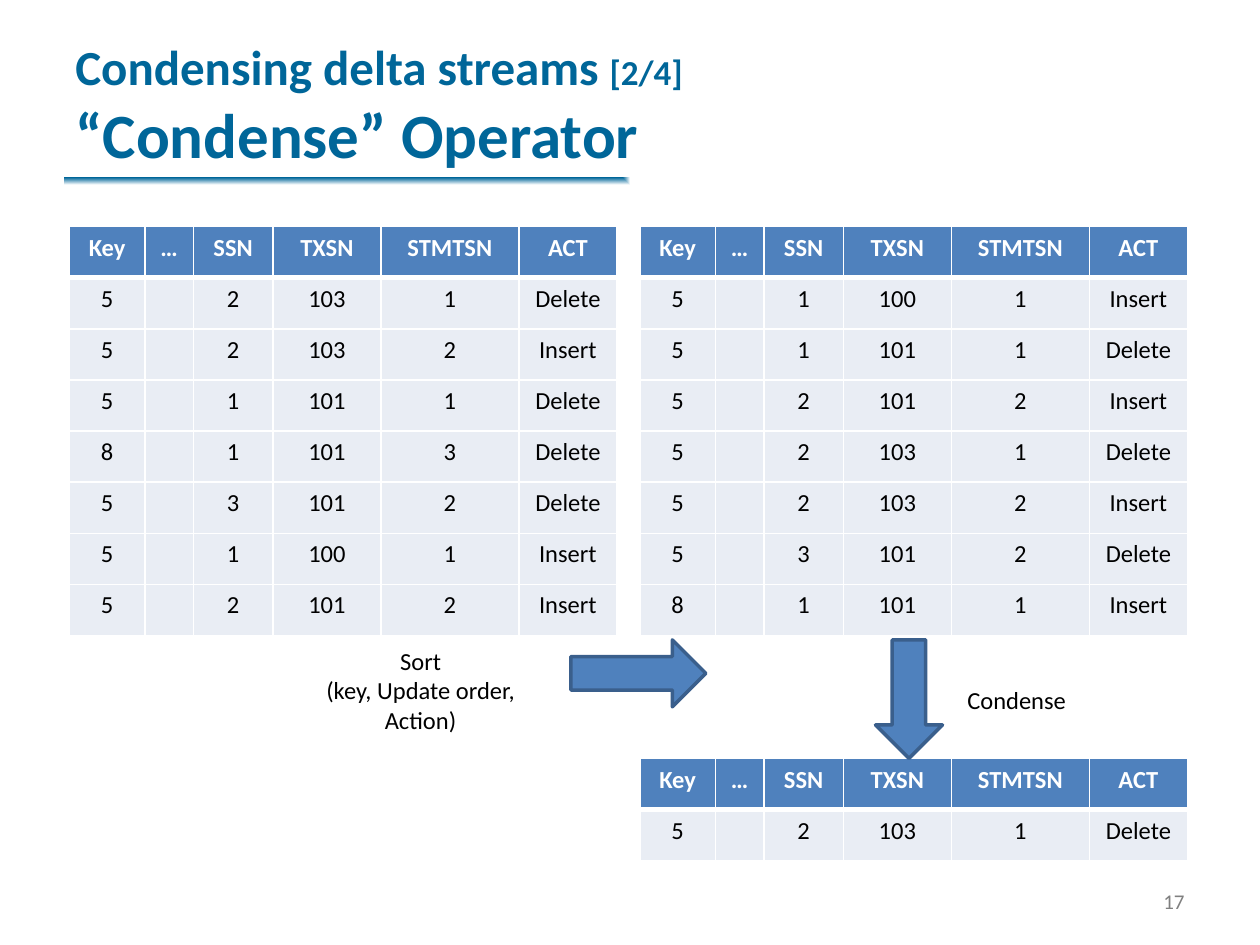
from dataclasses import dataclass

from lxml.etree import SubElement
from pptx import Presentation
from pptx.dml.color import RGBColor
from pptx.enum.shapes import MSO_SHAPE as Shape
from pptx.enum.text import MSO_ANCHOR as Anchor, PP_ALIGN as Align
from pptx.oxml import parse_xml
from pptx.oxml.ns import nsdecls, qn
from pptx.util import Cm, Pt


@dataclass(frozen=True)
class Theme:
    font: str = "Calibri"
    title: str = "006699"
    accent: str = "4F81BD"
    outline: str = "3A5F8C"
    band: str = "E9EDF4"
    white: str = "FFFFFF"
    black: str = "000000"
    grey: str = "808080"
    kicker_size: int = 28
    counter_size: int = 20
    title_size: int = 36
    body_size: int = 14
    number_size: int = 12


@dataclass(frozen=True)
class Box:
    left: float
    top: float
    width: float
    height: float

    def lengths(self) -> list:
        return [Cm(v) for v in (self.left, self.top, self.width, self.height)]


@dataclass(frozen=True)
class DeltaTable:
    left: float
    top: float
    rows: list


@dataclass(frozen=True)
class Label:
    box: Box
    lines: list
    size: int
    color: str
    align: Align = Align.LEFT
    anchor: Anchor = Anchor.TOP
    wrap: bool = True


@dataclass(frozen=True)
class Arrow:
    kind: Shape
    box: Box


T = Theme()

# Table contents: the second column is always elided
HEADER = ["Key", "…", "SSN", "TXSN", "STMTSN", "ACT"]
COL_WIDTHS = [1.52, 0.98, 1.6, 2.18, 2.78, 1.98]
ROW_HEIGHT = 1.03
LEFT_COL, RIGHT_COL, TABLE_TOP, FLOW_TOP = 1.4, 12.9, 4.57, 12.9

TABLES = [
    DeltaTable(LEFT_COL, TABLE_TOP, [
        (5, 2, 103, 1, "Delete"), (5, 2, 103, 2, "Insert"),
        (5, 1, 101, 1, "Delete"), (8, 1, 101, 3, "Delete"),
        (5, 3, 101, 2, "Delete"), (5, 1, 100, 1, "Insert"),
        (5, 2, 101, 2, "Insert")]),
    DeltaTable(RIGHT_COL, TABLE_TOP, [
        (5, 1, 100, 1, "Insert"), (5, 1, 101, 1, "Delete"),
        (5, 2, 101, 2, "Insert"), (5, 2, 103, 1, "Delete"),
        (5, 2, 103, 2, "Insert"), (5, 3, 101, 2, "Delete"),
        (8, 1, 101, 1, "Insert")]),
    DeltaTable(RIGHT_COL, 15.29, [(5, 2, 103, 1, "Delete")]),
]

ARROWS = [
    Arrow(Shape.DOWN_ARROW, Box(17.65, FLOW_TOP, 1.35, 2.39)),
    Arrow(Shape.RIGHT_ARROW, Box(11.51, FLOW_TOP, 2.72, 1.35)),
]

LABELS = [
    Label(Box(19.25, 13.69, 2.57, 0.86), ["Condense"], T.body_size, T.black, wrap=False),
    Label(Box(5.56, FLOW_TOP, 5.84, 2.06), ["Sort", "(key, Update order, Action)"],
          T.body_size, T.black, Align.CENTER),
    Label(Box(22.81, 17.65, 1.32, 1.02), ["17"], T.number_size, T.grey,
          Align.RIGHT, Anchor.MIDDLE),
]


def add_run(p, text: str, size: int, color: str, bold: bool = False) -> None:
    r = p.add_run()
    r.text = text
    for name, value in {"name": T.font, "size": Pt(size), "bold": bold}.items():
        setattr(r.font, name, value)
    r.font.color.rgb = RGBColor.from_string(color)


def set_borders(cell, widths: dict) -> None:
    tc_pr = cell._tc.get_or_add_tcPr()
    for side, width in widths.items():
        ln = SubElement(tc_pr, qn(f"a:ln{side}"), w=str(Pt(width)))
        fill = SubElement(ln, qn("a:solidFill"))
        SubElement(fill, qn("a:srgbClr"), val=T.white)


def add_delta_table(slide, spec: DeltaTable) -> None:
    rows = [HEADER] + [(key, "", *rest) for key, *rest in spec.rows]
    box = Box(spec.left, spec.top, sum(COL_WIDTHS), ROW_HEIGHT * len(rows))
    table = slide.shapes.add_table(len(rows), len(HEADER), *box.lengths()).table
    table.horz_banding = False
    for col, width in zip(table.columns, COL_WIDTHS):
        col.width = Cm(width)
    for i, values in enumerate(rows):
        table.rows[i].height = Cm(ROW_HEIGHT)
        head = i == 0
        for j, value in enumerate(values):
            cell = table.cell(i, j)
            set_borders(cell, {"L": 1, "R": 1, "T": 1, "B": 3 if head else 1})
            cell.fill.solid()
            cell.fill.fore_color.rgb = RGBColor.from_string(T.accent if head else T.band)
            p = cell.text_frame.paragraphs[0]
            p.alignment = Align.CENTER
            add_run(p, str(value), T.body_size, T.white if head else T.black, head)


def add_label(slide, spec: Label) -> None:
    tf = slide.shapes.add_textbox(*spec.box.lengths()).text_frame
    tf.word_wrap = spec.wrap
    tf.vertical_anchor = spec.anchor
    for i, line in enumerate(spec.lines):
        p = tf.add_paragraph() if i else tf.paragraphs[0]
        p.alignment = spec.align
        add_run(p, line, spec.size, spec.color)


def add_arrow(slide, spec: Arrow) -> None:
    s = slide.shapes.add_shape(spec.kind, *spec.box.lengths())
    s.shadow.inherit = False
    s.fill.solid()
    s.fill.fore_color.rgb = RGBColor.from_string(T.accent)
    s.line.color.rgb = RGBColor.from_string(T.outline)
    s.line.width = Pt(2)


def add_title(slide) -> None:
    # Fading rule below the title
    s = slide.shapes.add_shape(Shape.RECTANGLE, *Box(1.3, 3.58, 22.81, 0.3).lengths())
    s.shadow.inherit = False
    s.line.fill.background()
    s._element.spPr.find(qn("a:prstGeom")).addnext(parse_xml(
        f'<a:gradFill {nsdecls("a")}><a:gsLst>'
        f'<a:gs pos="0"><a:srgbClr val="{T.title}"/></a:gs>'
        f'<a:gs pos="100000"><a:srgbClr val="{T.white}"/></a:gs></a:gsLst>'
        '<a:path path="rect"><a:fillToRect r="100000" b="100000"/></a:path></a:gradFill>'))

    # Two title lines
    tf = slide.shapes.add_textbox(*Box(1.27, 0, 22.86, 3.58).lengths()).text_frame
    tf.word_wrap = True
    tf.vertical_anchor = Anchor.BOTTOM
    p = tf.paragraphs[0]
    add_run(p, "Condensing delta streams ", T.kicker_size, T.title, True)
    add_run(p, "[2/4]", T.counter_size, T.title, True)
    p.add_line_break()
    add_run(p, "“Condense” Operator", T.title_size, T.title, True)


def main() -> None:
    prs = Presentation()
    prs.slide_width, prs.slide_height = Cm(25.4), Cm(19.05)
    slide = prs.slides.add_slide(prs.slide_layouts[6])
    add_title(slide)
    for draw, specs in ((add_delta_table, TABLES), (add_arrow, ARROWS), (add_label, LABELS)):
        for spec in specs:
            draw(slide, spec)
    prs.save("out.pptx")


if __name__ == "__main__":
    main()
